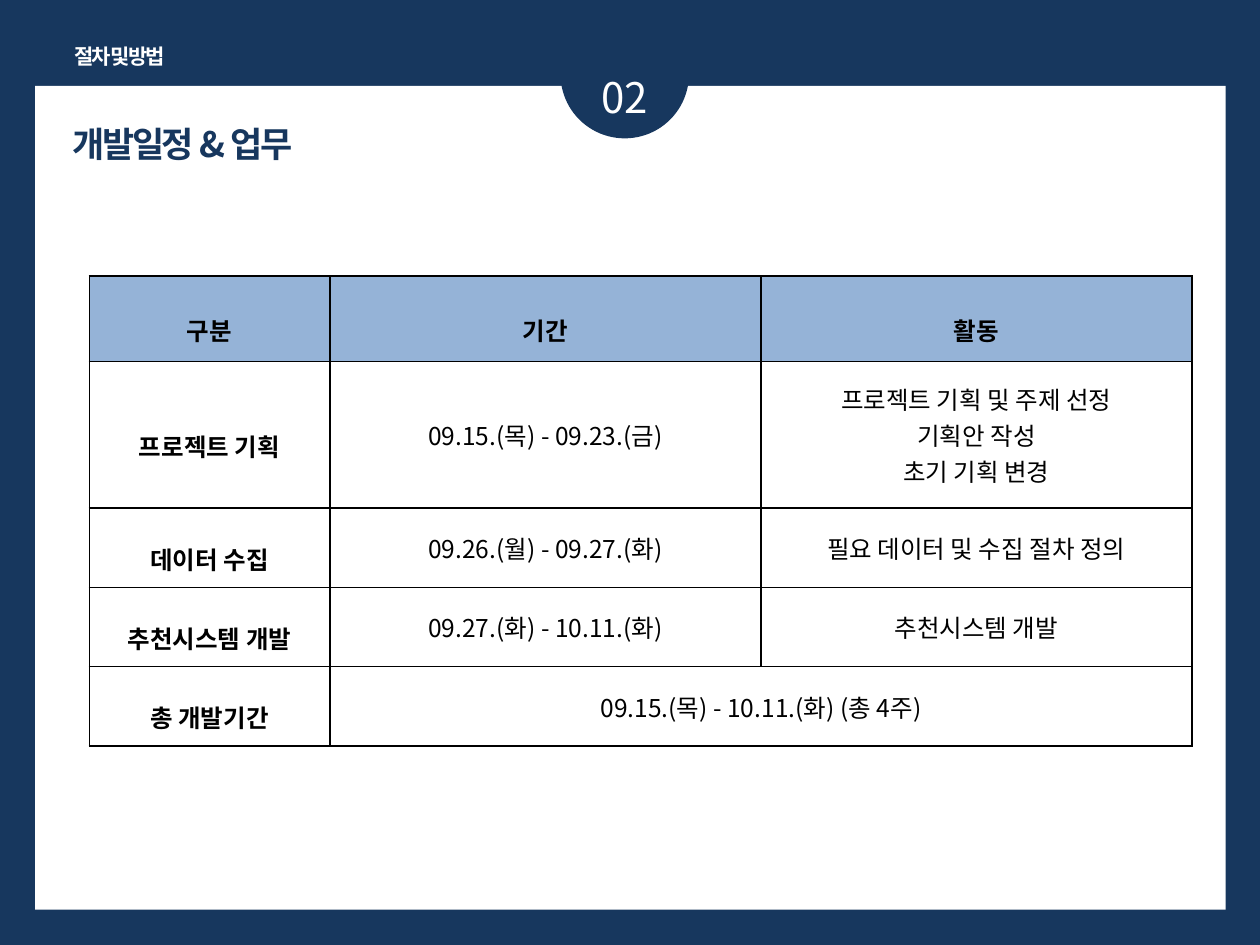
from pptx import Presentation
from pptx.dml.color import RGBColor
from pptx.enum.shapes import MSO_SHAPE as Shape
from pptx.enum.text import MSO_ANCHOR as Anchor, MSO_AUTO_SIZE as AutoSize, PP_ALIGN as Align
from pptx.oxml.ns import qn
from pptx.util import Cm, Pt
from lxml.etree import SubElement

NAVY = RGBColor(0x17, 0x37, 0x5E)
WHITE = RGBColor(0xFF, 0xFF, 0xFF)
BLACK = RGBColor(0x00, 0x00, 0x00)
HEADER_BLUE = RGBColor(0x95, 0xB3, 0xD7)
FONT = "Noto Sans CJK KR"

# Content: lengths in cm
PANELS = [
    (Shape.RECTANGLE, (0.71, 1.73, 24, 16.61), WHITE),
    (Shape.OVAL, (11.3, 0.2, 2.59, 2.59), NAVY),
]
# text, place, alignment, wrap, letter spacing, font values
LABELS = [
    ("02", (11.1, 1.32, 3, 1.27), Align.CENTER, True, 0,
     {"size": Pt(24), "bold": False}, WHITE),
    ("개발일정 & 업무", (1.22, 2.34, 5.54, 1.12), Align.LEFT, True, -1.5,
     {"size": Pt(20), "bold": True}, NAVY),
    ("절차 및 방법", (1.12, 0.76, 2.59, 0.76), Align.CENTER, False, -1.5,
     {"size": Pt(12), "bold": True}, WHITE),
]
SCHEDULE = [
    ("구분", "기간", "활동"),
    ("프로젝트 기획", "09.15.(목) - 09.23.(금)",
     "프로젝트 기획 및 주제 선정\n기획안 작성\n초기 기획 변경"),
    ("데이터 수집", "09.26.(월) - 09.27.(화)", "필요 데이터 및 수집 절차 정의"),
    ("추천시스템 개발", "09.27.(화) - 10.11.(화)", "추천시스템 개발"),
    ("총 개발기간", "09.15.(목) - 10.11.(화) (총 4주)", ""),
]
TABLE_LEFT, TABLE_TOP = 1.8, 5.56
COLUMN_WIDTHS = (4.85, 8.69, 8.69)
ROW_HEIGHTS = (1.73, 2.95, 1.6, 1.6, 1.6)
CELL_FORMAT = {
    "vertical_anchor": Anchor.MIDDLE,
    "margin_left": Cm(0.13), "margin_right": Cm(0.13),
    "margin_top": Cm(0.03), "margin_bottom": Cm(0.03),
}


def set_values(target, values):
    for name, value in values.items():
        setattr(target, name, value)


def add_span(para, text, values, color, spacing=0):
    span = para.add_run()
    span.text = text
    set_values(span.font, {"name": FONT, **values})
    span.font.color.rgb = color
    properties = span.font._element
    SubElement(properties, qn("a:ea"), typeface=FONT)
    if spacing:
        properties.set("spc", str(int(spacing * 100)))


def add_borders(cell):
    properties = cell._tc.get_or_add_tcPr()
    for position, side in enumerate(("lnL", "lnR", "lnT", "lnB")):
        line = properties.makeelement(qn(f"a:{side}"), {"w": str(Pt(1))})
        fill = SubElement(line, qn("a:solidFill"))
        SubElement(fill, qn("a:srgbClr"), val=str(BLACK))
        properties.insert(position, line)


def fill_cell(cell, text, is_header, is_bold):
    set_values(cell, CELL_FORMAT)
    if is_header:
        cell.fill.solid()
        cell.fill.fore_color.rgb = HEADER_BLUE
    else:
        cell.fill.background()
    add_borders(cell)
    frame = cell.text_frame
    for index, line in enumerate(text.split("\n") if text else []):
        para = frame.add_paragraph() if index else frame.paragraphs[0]
        para.alignment = Align.CENTER
        if is_bold:
            para.line_spacing = 1.6
        add_span(para, line, {"size": Pt(14), "bold": is_bold}, BLACK)


def add_schedule(page):
    frame = page.shapes.add_table(
        len(ROW_HEIGHTS), len(COLUMN_WIDTHS), Cm(TABLE_LEFT), Cm(TABLE_TOP),
        Cm(sum(COLUMN_WIDTHS)), Cm(sum(ROW_HEIGHTS)))
    table = frame.table
    set_values(table, {"first_row": False, "horz_banding": False})
    for column, width in zip(table.columns, COLUMN_WIDTHS):
        column.width = Cm(width)
    for row, height in zip(table.rows, ROW_HEIGHTS):
        row.height = Cm(height)
    for r, texts in enumerate(SCHEDULE):
        for c, text in enumerate(texts):
            fill_cell(table.cell(r, c), text, r == 0, r == 0 or c == 0)
    # The total period spans the last two columns
    last = len(SCHEDULE) - 1
    table.cell(last, 1).merge(table.cell(last, 2))


def main():
    deck = Presentation()
    deck.slide_width, deck.slide_height = Cm(25.4), Cm(19.05)
    page = deck.slides.add_slide(deck.slide_layouts[6])
    page.background.fill.solid()
    page.background.fill.fore_color.rgb = NAVY

    # White sheet and number badge
    for kind, place, color in PANELS:
        panel = page.shapes.add_shape(kind, *map(Cm, place))
        panel.shadow.inherit = False
        panel.fill.solid()
        panel.fill.fore_color.rgb = color
        panel.line.fill.background()

    # Number, title and section name
    for text, place, alignment, wrap, spacing, values, color in LABELS:
        box = page.shapes.add_textbox(*map(Cm, place))
        set_values(box.text_frame, {"word_wrap": wrap,
                                    "auto_size": AutoSize.SHAPE_TO_FIT_TEXT})
        para = box.text_frame.paragraphs[0]
        para.alignment = alignment
        add_span(para, text, values, color, spacing)

    add_schedule(page)
    deck.save("out.pptx")


if __name__ == "__main__":
    main()
